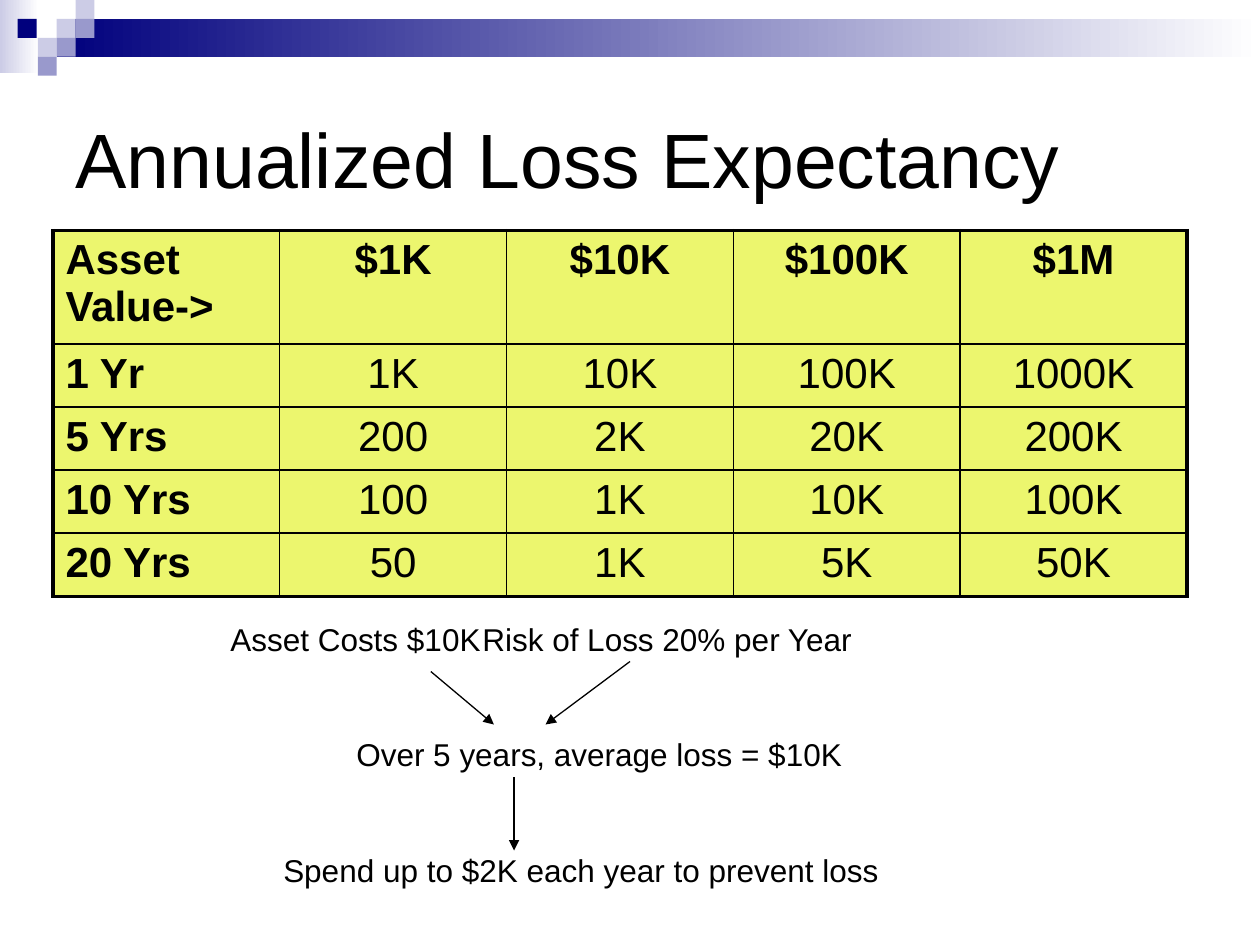
from typing import Any, NamedTuple

import lxml.etree
import pptx
import pptx.dml.color
import pptx.enum.shapes
import pptx.enum.text
import pptx.oxml
import pptx.oxml.ns
import pptx.util

Inches = pptx.util.Inches
Pt = pptx.util.Pt

COLORS = {
    "black": "000000",
    "navy": "00007D",
    "violet": "9999CC",
    "lavender": "CCCCE6",
    "white": "FFFFFF",
    "yellow": "ECF66E",
}
FONT = "Arial"
TILE = 0.15
THICK, THIN = 2.25, 1

LOSSES = [
    ["Asset Value->", "$1K", "$10K", "$100K", "$1M"],
    ["1 Yr", "1K", "10K", "100K", "1000K"],
    ["5 Yrs", "200", "2K", "20K", "200K"],
    ["10 Yrs", "100", "1K", "10K", "100K"],
    ["20 Yrs", "50", "1K", "5K", "50K"],
]


class Band(NamedTuple):
    """A rectangle of the header, plain or fading into a second colour."""
    left: float
    top: float
    width: float
    height: float
    color: str
    fade: str = ""


class Step(NamedTuple):
    """A line of the worked example."""
    text: str
    indent: float
    space_before: float


class Arrow(NamedTuple):
    """An arrow between two lines of the worked example."""
    x1: float
    y1: float
    x2: float
    y2: float


BANDS = [
    Band(0, 0, 0.31, 0.58, "lavender", "white"),
    Band(0.45, 0.15, 9.55, 0.3, "navy", "white"),
] + [
    Band(left, row * TILE, TILE, TILE, color)
    for left, row, color in [
        (0.45, 1, "lavender"), (0.6, 0, "lavender"), (0.6, 1, "violet"),
        (0.3, 2, "lavender"), (0.14, 1, "navy"), (0.45, 2, "violet"),
        (0.3, 3, "violet"),
    ]
]
STEPS = [
    Step("Asset Costs $10K\tRisk of Loss 20% per Year", 0, 0),
    Step("Over 5 years, average loss = $10K", 1, 44.4),
    Step("Spend up to $2K each year to prevent loss", 0.42, 44.4),
]
RISK_TAB = 2.61
ARROWS = [
    Arrow(3.42, 5.33, 3.92, 5.75),
    Arrow(5, 5.25, 4.33, 5.75),
    Arrow(4.08, 6.17, 4.08, 6.75),
]


def rgb(color: str) -> pptx.dml.color.RGBColor:
    """Look up a named colour."""
    return pptx.dml.color.RGBColor.from_string(COLORS[color])


def add_element(parent: Any, tag: str, **attributes: str) -> Any:
    """Append a DrawingML element to its parent."""
    return lxml.etree.SubElement(parent, pptx.oxml.ns.qn(tag), attributes)


def write(paragraph: Any, text: str, size: float, bold: bool = False) -> None:
    """Put one formatted run into a paragraph."""
    run = paragraph.add_run()
    run.text = text
    font_format = {"name": FONT, "size": Pt(size), "bold": bold}
    for attribute, value in font_format.items():
        setattr(run.font, attribute, value)
    run.font.color.rgb = rgb("black")


def add_band(slide: Any, band: Band) -> None:
    """Draw a rectangle of the header."""
    shape = slide.shapes.add_shape(
        pptx.enum.shapes.MSO_SHAPE.RECTANGLE,
        *(Inches(length) for length in band[:4]))
    shape.shadow.inherit = False
    shape.line.fill.background()
    if band.fade:
        shape.fill.gradient()
        shape.fill.gradient_angle = 0
        for stop, color in zip(shape.fill.gradient_stops, (band.color, band.fade)):
            stop.color.rgb = rgb(color)
    else:
        shape.fill.solid()
        shape.fill.fore_color.rgb = rgb(band.color)


def add_text_frame(slide: Any, left: float, top: float, width: float,
                   height: float) -> Any:
    """Add a wrapping text box and return its text frame."""
    frame = slide.shapes.add_textbox(
        Inches(left), Inches(top), Inches(width), Inches(height)).text_frame
    frame.word_wrap = True
    return frame


def set_borders(cell: Any, widths: dict[str, float]) -> None:
    """Draw the four sides of a cell, each with its own width."""
    properties = cell._tc.get_or_add_tcPr()
    for position, (side, width) in enumerate(widths.items()):
        line = pptx.oxml.parse_xml(
            f'<a:ln{side} {pptx.oxml.ns.nsdecls("a")} w="{Pt(width)}"><a:solidFill>'
            f'<a:srgbClr val="{COLORS["black"]}"/></a:solidFill></a:ln{side}>')
        properties.insert(position, line)


def add_loss_table(slide: Any) -> None:
    """Build the table of yearly losses by asset value and interval."""
    last_row, last_column = len(LOSSES) - 1, len(LOSSES[0]) - 1
    table = slide.shapes.add_table(
        len(LOSSES), len(LOSSES[0]),
        Inches(0.42), Inches(1.83), Inches(9), Inches(2.9)).table
    table.first_row = table.horz_banding = False
    for r, values in enumerate(LOSSES):
        table.rows[r].height = Inches(0.5 if r else 0.9)
        for c, value in enumerate(values):
            cell = table.cell(r, c)
            cell.fill.solid()
            cell.fill.fore_color.rgb = rgb("yellow")
            set_borders(cell, {
                "L": THIN if c else THICK,
                "R": THICK if c == last_column else THIN,
                "T": THIN if r else THICK,
                "B": THICK if r == last_row else THIN,
            })
            paragraph = cell.text_frame.paragraphs[0]
            if c:
                paragraph.alignment = pptx.enum.text.PP_ALIGN.CENTER
            spacing = add_element(paragraph._p.get_or_add_pPr(), "a:spcBef")
            add_element(spacing, "a:spcPct", val="20000")
            write(paragraph, value, 24, bold=r == 0 or c == 0)


def add_example(slide: Any) -> None:
    """Write the worked example below the table."""
    frame = add_text_frame(slide, 1.73, 4.87, 5.77, 2.2)
    for number, step in enumerate(STEPS):
        paragraph = frame.add_paragraph() if number else frame.paragraphs[0]
        paragraph.space_before = Pt(step.space_before)
        properties = paragraph._p.get_or_add_pPr()
        properties.set("marL", str(Inches(step.indent)))
        properties.set("indent", "0")
        if "\t" in step.text:
            tabs = add_element(properties, "a:tabLst")
            add_element(tabs, "a:tab", pos=str(Inches(RISK_TAB)), algn="l")
        write(paragraph, step.text, 18)


def add_arrow(slide: Any, arrow: Arrow) -> None:
    """Draw a thin line ending in a triangle."""
    connector = slide.shapes.add_connector(
        pptx.enum.shapes.MSO_CONNECTOR.STRAIGHT,
        *(Inches(length) for length in arrow))
    connector.line.width = Pt(0.75)
    connector.line.color.rgb = rgb("black")
    add_element(connector.line._get_or_add_ln(), "a:tailEnd", type="triangle")
    add_element(connector._element.spPr, "a:effectLst")


def main() -> None:
    """Build and save the slide."""
    deck = pptx.Presentation()
    deck.slide_width, deck.slide_height = Inches(10), Inches(7.5)
    slide = deck.slides.add_slide(deck.slide_layouts[6])
    for band in BANDS:
        add_band(slide, band)
    title = add_text_frame(slide, 0.5, 0.5, 9, 1.5)
    title.vertical_anchor = pptx.enum.text.MSO_ANCHOR.MIDDLE
    write(title.paragraphs[0], "Annualized Loss Expectancy", 44)
    add_loss_table(slide)
    add_example(slide)
    for arrow in ARROWS:
        add_arrow(slide, arrow)
    deck.save("out.pptx")


main()
